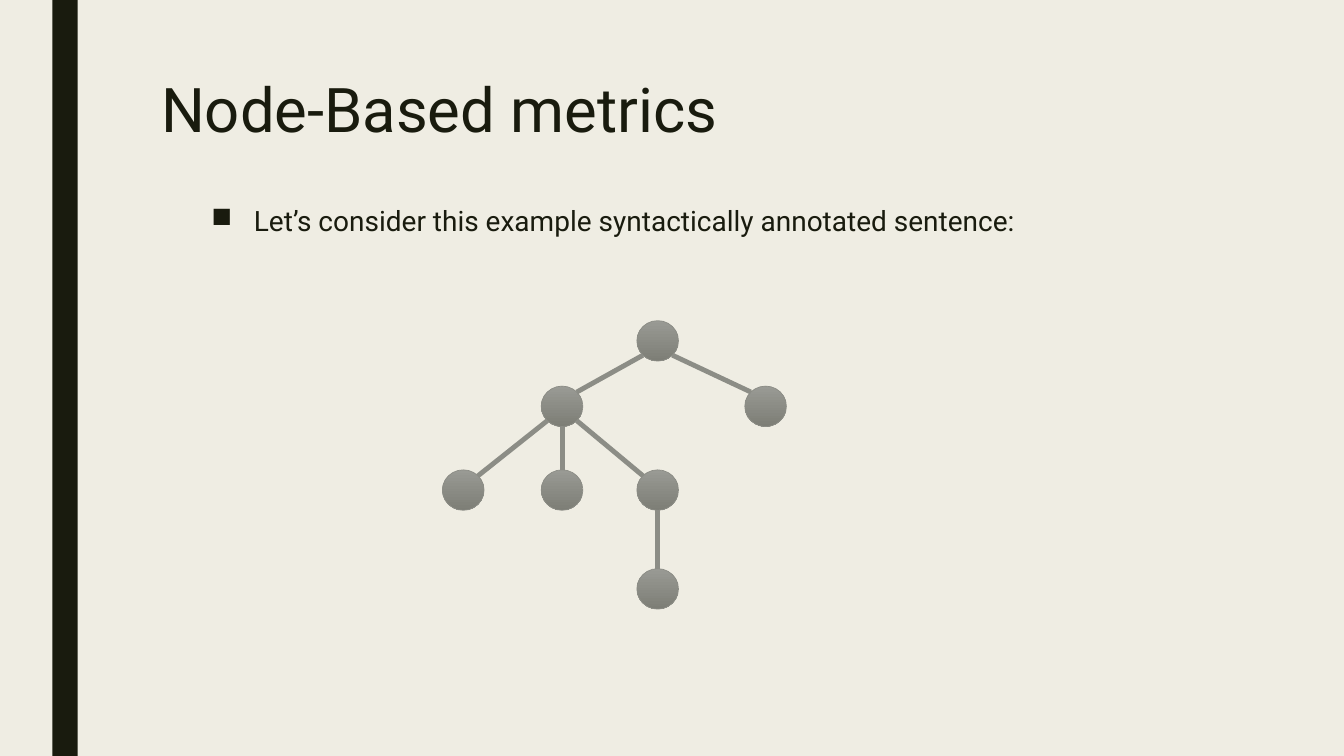
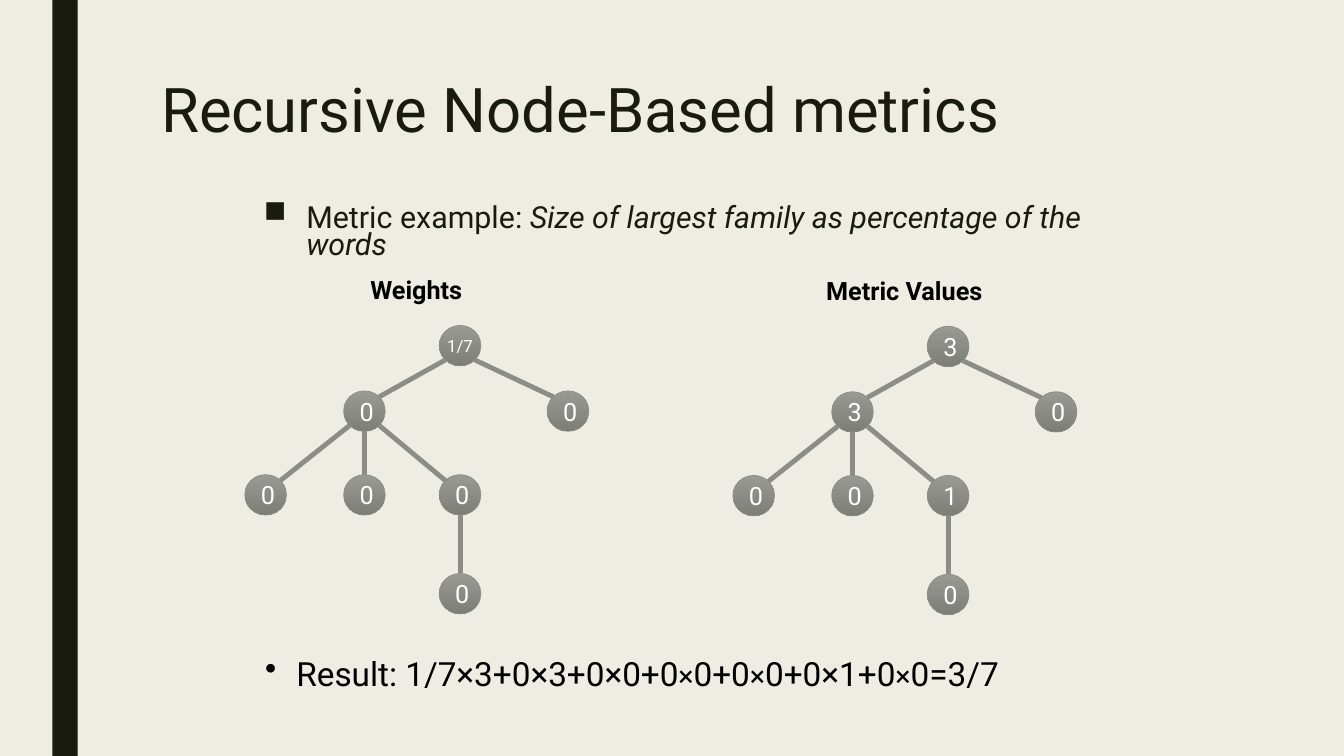
from lxml.etree import SubElement
from pptx import Presentation
from pptx.dml.color import RGBColor
from pptx.enum.shapes import MSO_CONNECTOR as Link, MSO_SHAPE as Shape
from pptx.enum.text import PP_ALIGN as Align
from pptx.oxml.ns import qn
from pptx.util import Cm, Pt

PAPER = RGBColor(0xEF, 0xED, 0xE3)
INK = RGBColor(0x19, 0x1B, 0x0E)
BLACK = RGBColor(0, 0, 0)
WHITE = RGBColor(0xFF, 0xFF, 0xFF)
GREY = RGBColor(0x8C, 0x8D, 0x86)
LIGHT = RGBColor(0x99, 0x9A, 0x94)
DARK = RGBColor(0x7D, 0x7E, 0x76)
FONT = "Roboto"

NODE_W, NODE_H = 1.05, 1.02
TREE_W = 8.64
DIAG = 0.5 ** 0.5
# Top left corner of each node, relative to the tree
NODES = {
    "root": (4.9, 0),
    "left": (2.49, 1.65), "right": (7.62, 1.65),
    "one": (0, 3.76), "two": (2.49, 3.76), "three": (4.9, 3.76),
    "leaf": (4.9, 6.25),
}
EDGES = [("root", "left"), ("root", "right"), ("left", "one"),
         ("left", "two"), ("left", "three"), ("three", "leaf")]


def style(run, size, color, bold=False, italic=False):
    font = run.font
    font.name, font.size = FONT, Pt(size)
    font.bold, font.italic = bold, italic
    font.color.rgb = color


def add_text(slide, box, runs, color, spacing=1.0, bullet=None, indent=0,
             **look):
    """Place one paragraph; runs are (text, size) or (text, size, italic)."""
    frame = slide.shapes.add_textbox(*map(Cm, box)).text_frame
    frame.word_wrap = True
    para = frame.paragraphs[0]
    para.line_spacing = spacing
    if bullet:
        props = para._p.get_or_add_pPr()
        props.set("marL", str(Cm(indent)))
        props.set("indent", str(-Cm(indent)))
        SubElement(props, qn("a:buChar")).set("char", bullet)
    for text, size, *italic in runs:
        run = para.add_run()
        run.text = text
        style(run, size, color, italic=bool(italic and italic[0]), **look)
    return para


def add_node(slide, left, top, label):
    node = slide.shapes.add_shape(
        Shape.OVAL, Cm(left), Cm(top), Cm(NODE_W), Cm(NODE_H))
    node.shadow.inherit = False
    node.fill.gradient()
    node.fill.gradient_angle = 270
    for stop, color in zip(node.fill.gradient_stops, (LIGHT, DARK)):
        stop.color.rgb = color
    node.line.color.rgb = GREY
    node.line.width = Pt(0.5)
    if not label:
        return
    frame = node.text_frame
    frame.text = label
    para = frame.paragraphs[0]
    para.alignment = Align.CENTER
    wide = len(label) > 1
    style(para.runs[0], 12 if wide else 18, WHITE)
    if wide:
        frame.margin_left = frame.margin_right = 0
        frame.margin_top = frame.margin_bottom = 0


def add_edge(slide, start, end):
    """Join the rims of two nodes given by their centres."""
    (x1, y1), (x2, y2) = start, end
    side = (x2 > x1) - (x2 < x1)
    dx = side * DIAG * NODE_W / 2
    dy = (DIAG if side else 1) * NODE_H / 2
    ends = (x1 + dx, y1 + dy, x2 - dx, y2 - dy)
    edge = slide.shapes.add_connector(Link.STRAIGHT, *map(Cm, ends))
    edge.line.color.rgb = GREY
    edge.line.width = Pt(3.5)
    SubElement(edge._element.spPr, qn("a:effectLst"))


def add_tree(slide, left, top, labels=None, title=None):
    """Draw the sentence tree; labels follow the order of NODES."""
    spots = {name: (left + x, top + y) for name, (x, y) in NODES.items()}
    for spot, label in zip(spots.values(), labels or [None] * len(spots)):
        add_node(slide, *spot, label)
    mids = {name: (x + NODE_W / 2, y + NODE_H / 2)
            for name, (x, y) in spots.items()}
    for start, end in EDGES:
        add_edge(slide, mids[start], mids[end])
    if title:
        box = (left, top - 1.4, TREE_W, 1.02)
        para = add_text(slide, box, [(title, 18)], BLACK, bold=True)
        para.alignment = Align.CENTER


def add_page(deck, title):
    """Add a slide with the shared background, band and title."""
    slide = deck.slides.add_slide(deck.slide_layouts[6])
    fill = slide.background.fill
    fill.solid()
    fill.fore_color.rgb = PAPER
    band = slide.shapes.add_shape(
        Shape.RECTANGLE, Cm(1.32), 0, Cm(0.64), deck.slide_height)
    band.shadow.inherit = False
    band.fill.solid()
    band.fill.fore_color.rgb = INK
    band.line.fill.background()
    add_text(slide, (3.81, 1.9, 26.67, 4.1), [(title, 44)], INK, 0.89)
    return slide


def add_intro(deck):
    slide = add_page(deck, "Node-Based metrics")
    text = "Let’s consider this example syntactically annotated sentence:"
    add_text(slide, (5.08, 5.08, 24.56, 11.94), [(text, 20)], INK, 0.94,
             "■", 1.07)
    add_tree(slide, 11.15, 8.08)


def add_example(deck):
    slide = add_page(deck, "Recursive Node-Based metrics")
    metric = "Size of largest family as percentage of the words"
    add_text(slide, (6.4, 5.08, 23.1, 1.73),
             [("Metric example: ", 21.7), (metric, 21.7, True)],
             INK, 0.74, "■", 1.07)
    add_tree(slide, 6.17, 8.2, ["1/7"] + ["0"] * 6, "Weights")
    add_tree(slide, 18.47, 8.22, "3300010", "Metric Values")
    big, small = 23.8, 20.4
    result = [("Result: 1/7×3+0×3+0×0+0", big), ("×", small), ("0+0", big),
              ("×", small), ("0+0×1+0", big), ("×", small), ("0=3/7", big)]
    add_text(slide, (6.43, 16.33, 21.06, 1.73), result, BLACK,
             bullet="•", indent=0.79)


def main():
    deck = Presentation()
    deck.slide_width, deck.slide_height = Cm(33.87), Cm(19.05)
    add_intro(deck)
    add_example(deck)
    deck.save("out.pptx")


if __name__ == "__main__":
    main()
